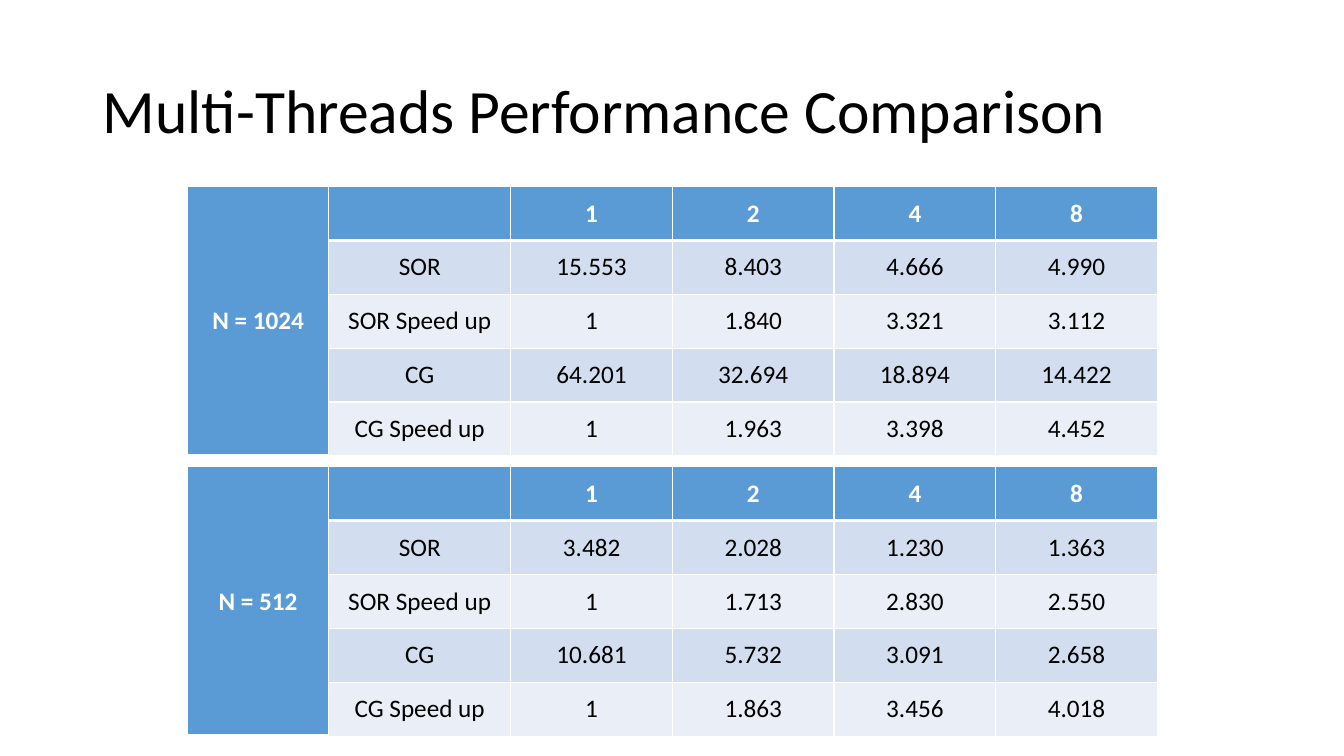
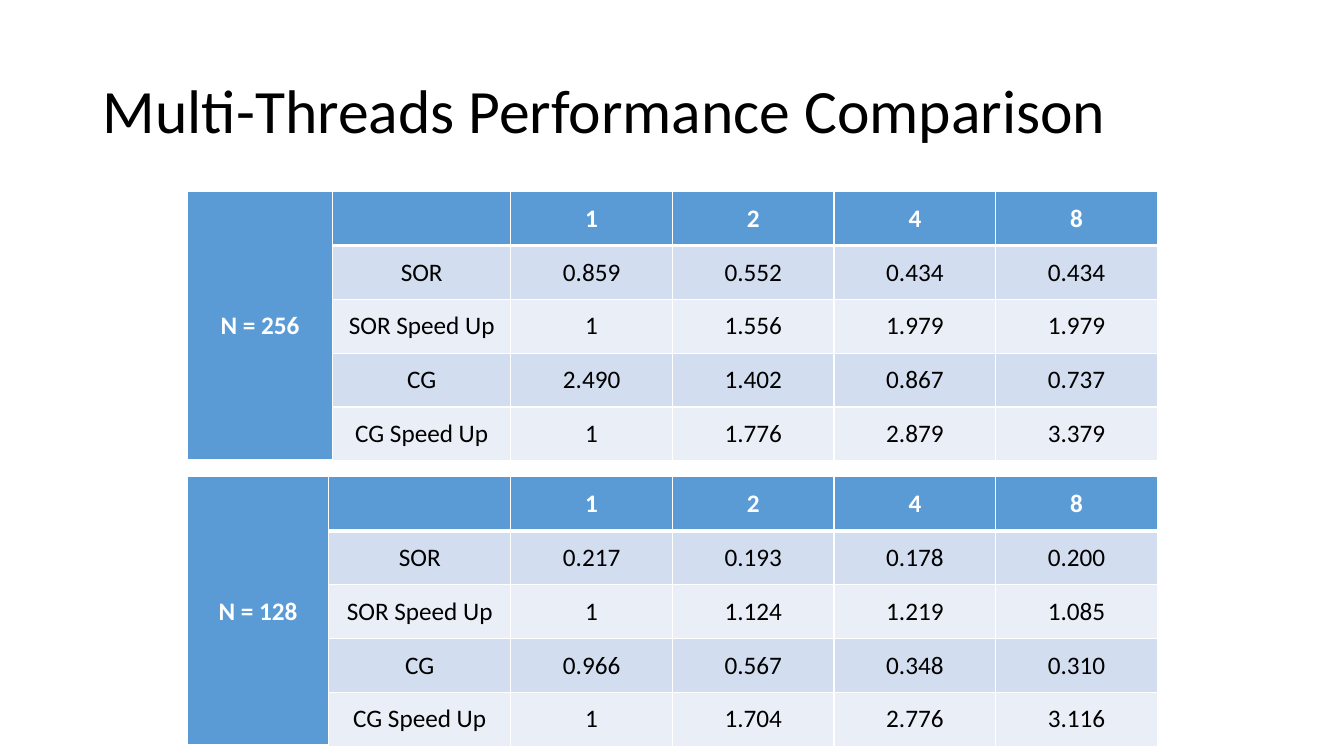
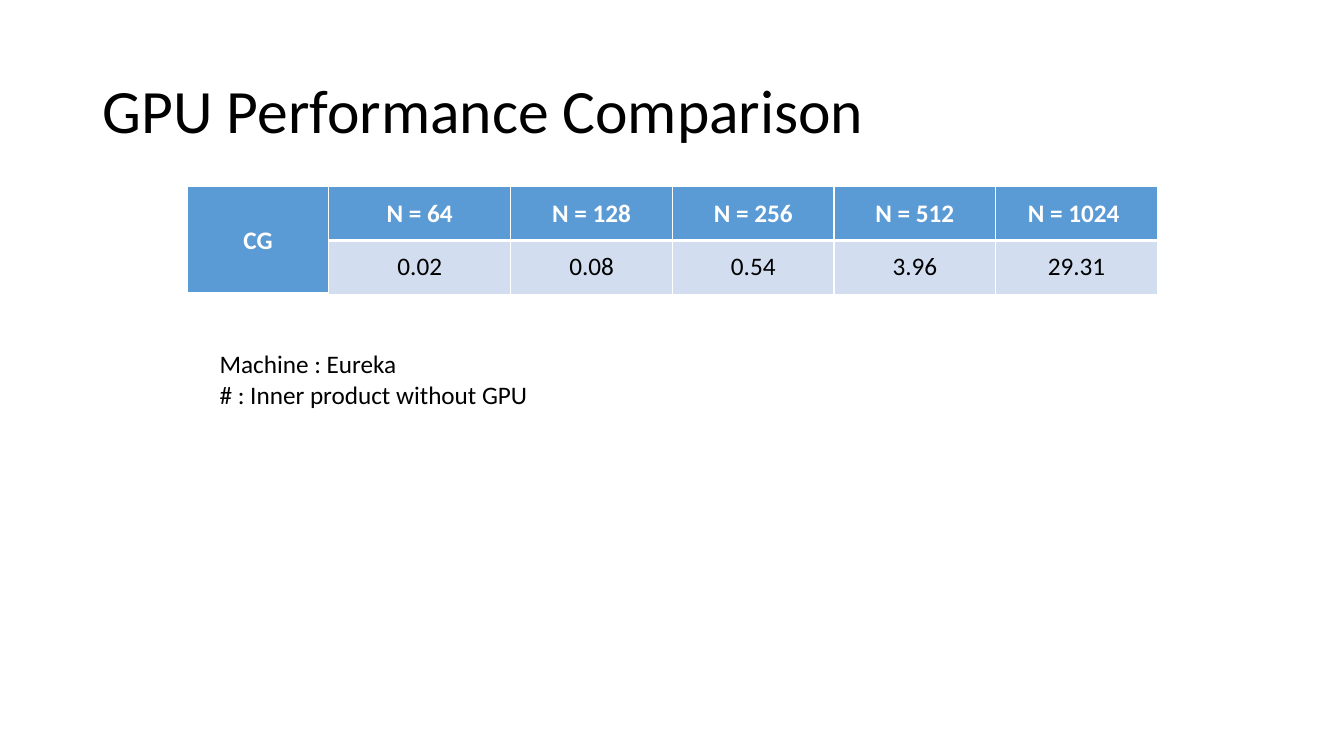
from dataclasses import dataclass

from lxml.etree import SubElement
from pptx import Presentation
from pptx.dml.color import RGBColor
from pptx.enum.text import MSO_ANCHOR, MSO_AUTO_SIZE, PP_ALIGN
from pptx.oxml.ns import qn
from pptx.util import Inches, Pt


@dataclass(frozen=True)
class Theme:
    font: str = "Calibri"
    title_size: int = 44
    body_size: int = 18
    text: str = "000000"
    white: str = "FFFFFF"
    header: str = "5B9BD5"
    bands: tuple = ("D2DEEF", "EAEFF7")
    thin: int = 1
    thick: int = 3


THEME = Theme()
TABLE_LEFT = Inches(1.86)
TABLE_WIDTH = Inches(9.62)
ROW_HEIGHT = Inches(1.07) // 2
COLUMNS = 6
THREADS = ["1", "2", "4", "8"]
THREADS_TITLE = "Multi-Threads Performance Comparison"

# Each table: top, heading width, problem size, rows of values
THREAD_SLIDES = [
    (["SOR", "SOR Speed up", "CG", "CG Speed up"], [
        (1.85, 1.4, "N = 1024", [
            ["15.553", "8.403", "4.666", "4.990"],
            ["1", "1.840", "3.321", "3.112"],
            ["64.201", "32.694", "18.894", "14.422"],
            ["1", "1.963", "3.398", "4.452"]]),
        (4.63, 1.4, "N = 512", [
            ["3.482", "2.028", "1.230", "1.363"],
            ["1", "1.713", "2.830", "2.550"],
            ["10.681", "5.732", "3.091", "2.658"],
            ["1", "1.863", "3.456", "4.018"]]),
    ]),
    (["SOR", "SOR Speed Up", "CG", "CG Speed Up"], [
        (1.9, 1.44, "N = 256", [
            ["0.859", "0.552", "0.434", "0.434"],
            ["1", "1.556", "1.979", "1.979"],
            ["2.490", "1.402", "0.867", "0.737"],
            ["1", "1.776", "2.879", "3.379"]]),
        (4.73, 1.4, "N = 128", [
            ["0.217", "0.193", "0.178", "0.200"],
            ["1", "1.124", "1.219", "1.085"],
            ["0.966", "0.567", "0.348", "0.310"],
            ["1", "1.704", "2.776", "3.116"]]),
    ]),
]
GPU_ROWS = [
    ["N = 64", "N = 128", "N = 256", "N = 512", "N = 1024 "],
    ["0.02", "0.08", "0.54", "3.96", "29.31"],
]


def format_text(tf, size, color, bold=False, align=PP_ALIGN.LEFT):
    for p in tf.paragraphs:
        p.alignment = align
        for r in p.runs:
            r.font.name = THEME.font
            r.font.size = Pt(size)
            r.font.bold = bold
            r.font.color.rgb = RGBColor.from_string(color)


def add_titled_slide(prs, title):
    s = prs.slides.add_slide(prs.slide_layouts[5])
    sp = s.shapes.title
    sp.left, sp.top = Inches(0.92), Inches(0.4)
    sp.width, sp.height = Inches(11.5), Inches(1.45)
    tf = sp.text_frame
    tf.text = title
    tf.auto_size = MSO_AUTO_SIZE.NONE
    tf.vertical_anchor = MSO_ANCHOR.MIDDLE
    tf.paragraphs[0].line_spacing = 0.9
    format_text(tf, THEME.title_size, THEME.text)
    return s


def set_borders(cell, bottom):
    """Draw white cell borders; call before the fill, which must follow them."""
    tc_pr = cell._tc.get_or_add_tcPr()
    widths = {"L": THEME.thin, "R": THEME.thin, "T": THEME.thin, "B": bottom}
    for side, width in widths.items():
        ln = SubElement(tc_pr, qn(f"a:ln{side}"), w=str(Pt(width)))
        fill = SubElement(ln, qn("a:solidFill"))
        SubElement(fill, qn("a:srgbClr"), val=THEME.white)


def fill_cell(cell, text, row, is_header):
    cell.text = text
    cell.vertical_anchor = MSO_ANCHOR.MIDDLE
    set_borders(cell, THEME.thick if is_header else THEME.thin)
    cell.fill.solid()
    band = THEME.bands[(row - 1) % 2]
    cell.fill.fore_color.rgb = RGBColor.from_string(THEME.header if is_header else band)
    format_text(cell.text_frame, THEME.body_size,
                THEME.white if is_header else THEME.text, is_header, PP_ALIGN.CENTER)


def add_result_table(s, top, heading_width, heading, rows):
    """Add a table whose first column is one merged heading."""
    count = len(rows)
    table = s.shapes.add_table(count, COLUMNS, TABLE_LEFT, Inches(top),
                               TABLE_WIDTH, ROW_HEIGHT * count).table
    table.first_row = table.horz_banding = False
    unit = TABLE_WIDTH // COLUMNS
    first = Inches(heading_width)
    for column, width in zip(table.columns, [first, 2 * unit - first] + [unit] * 4):
        column.width = width
    for i, values in enumerate(rows):
        table.rows[i].height = ROW_HEIGHT
        for j, text in enumerate([heading if i == 0 else "", *values]):
            fill_cell(table.cell(i, j), text, i, i == 0 or j == 0)
    table.cell(0, 0).merge(table.cell(count - 1, 0))


def add_note(s, lines):
    tf = s.shapes.add_textbox(Inches(2.08), Inches(3.41),
                              Inches(9.3), Inches(0.71)).text_frame
    tf.word_wrap = True
    tf.auto_size = MSO_AUTO_SIZE.SHAPE_TO_FIT_TEXT
    tf.text = "\n".join(lines)
    format_text(tf, THEME.body_size, THEME.text)


def main():
    prs = Presentation()
    prs.slide_width, prs.slide_height = Inches(13.33), Inches(7.5)
    for labels, tables in THREAD_SLIDES:
        s = add_titled_slide(prs, THREADS_TITLE)
        for top, heading_width, size, values in tables:
            rows = [["", *THREADS]]
            rows += [[label, *row] for label, row in zip(labels, values)]
            add_result_table(s, top, heading_width, size, rows)
    s = add_titled_slide(prs, "GPU Performance Comparison")
    add_result_table(s, 1.85, 1.4, "CG", GPU_ROWS)
    add_note(s, ["Machine : Eureka", "# : Inner product without GPU"])
    prs.save("out.pptx")


if __name__ == "__main__":
    main()
